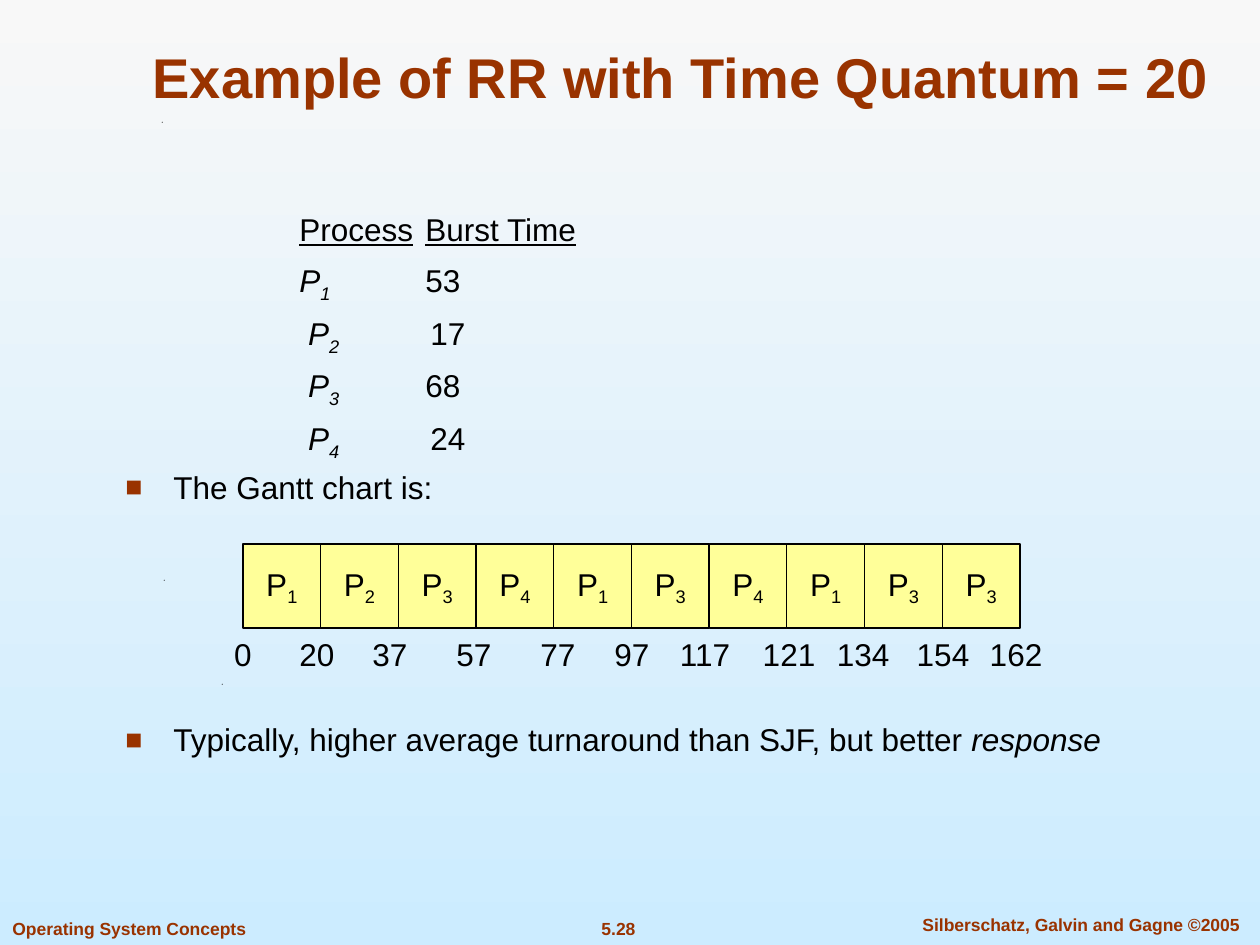
from lxml.etree import SubElement
from pptx import Presentation
from pptx.dml.color import RGBColor
from pptx.enum.shapes import MSO_SHAPE
from pptx.enum.text import MSO_ANCHOR, MSO_AUTO_SIZE, PP_ALIGN
from pptx.oxml.ns import qn
from pptx.util import Emu, Pt

SCALE = 914400 / 126
BROWN, BLACK, YELLOW = "993300", "000000", "FFFF99"
BACKGROUND = ["F8F8F8", "CCECFF"]
LEFT, CENTER = PP_ALIGN.LEFT, PP_ALIGN.CENTER

TITLE = "Example of RR with Time Quantum = 20"
HEADINGS = ("Process", "Burst Time")
BURSTS = [("", "1", "", "53"), (" ", "2", " ", "17"),
          (" ", "3", "", "68"), (" ", "4", " ", "24")]
BULLETS = [
    ([("The Gantt chart is:", {})], 7.9),
    ([("Typically, higher average turnaround than SJF, but better ", {}),
      ("response", {"italic": True})], 125),
]
GANTT = "1234134133"
TIMES = [(0, 243), (20, 317), (37, 390), (57, 474), (77, 558), (97, 632),
         (117, 705), (121, 789), (134, 863), (154, 943), (162, 1016)]
FOOTERS = [
    ("Operating System Concepts", (0, 912, 260, 34), LEFT),
    ("5.28", (557, 912, 123, 34), CENTER),
    ("Silberschatz, Galvin and Gagne ©2005", (894, 908, 374, 34), CENTER),
]
SPECKS = [(162, 122), (164, 580), (222, 684)]
COLUMNS = [174, 300]
CHART_LEFT, CHART_TOP, CHART_WIDTH, CHART_HEIGHT = 243, 544, 777, 84

BODY = {"size": Pt(18), "name": "Arial"}
SMALL = {"size": Pt(10), "name": "Arial", "bold": True}
HEADING = {"size": Pt(32), "name": "Arial", "bold": True}


def px(value):
    return Emu(round(value * SCALE))


def color(value):
    return RGBColor.from_string(value)


def apply(target, values):
    for name, value in values.items():
        setattr(target, name, value)


def add_spans(para, spans, style=BODY, ink=BLACK):
    for text, changes in spans:
        span = para.add_run()
        span.text = text
        apply(span.font, style | {k: v for k, v in changes.items() if k != "sub"})
        span.font.color.rgb = color(ink)
        if changes.get("sub"):
            span._r.get_or_add_rPr().set("baseline", "-25000")


def add_text(shapes, rect, spans, align=CENTER, style=BODY, ink=BLACK,
             anchor=MSO_ANCHOR.TOP, wrap=False):
    box = shapes.add_textbox(*map(px, rect))
    fit = MSO_AUTO_SIZE.NONE if wrap else MSO_AUTO_SIZE.SHAPE_TO_FIT_TEXT
    apply(box.text_frame, {"word_wrap": wrap, "vertical_anchor": anchor, "auto_size": fit})
    para = box.text_frame.paragraphs[0]
    para.alignment = align
    add_spans(para, spans, style, ink)
    return box


def add_tabs(para):
    tabs = SubElement(para._p.get_or_add_pPr(), qn("a:tabLst"))
    for column in COLUMNS:
        SubElement(tabs, qn("a:tab"), pos=str(px(column)), algn="l")


def add_bullet(para):
    props = para._p.get_or_add_pPr()
    props.set("marL", str(px(48)))
    props.set("indent", str(px(-48)))
    SubElement(SubElement(props, qn("a:buClr")), qn("a:srgbClr"), val=BROWN)
    SubElement(props, qn("a:buSzPct"), val="90000")
    SubElement(props, qn("a:buFont"), typeface="Arial")
    SubElement(props, qn("a:buChar"), char="■")


def fill_body(frame):
    heading = [("\t", {}), (HEADINGS[0], {"underline": True}),
               ("\t", {}), (HEADINGS[1], {"underline": True})]
    rows = [heading] + [
        [("\t" + lead, {}), ("P", {"italic": True}),
         (number + "\t" + gap, {"italic": True, "sub": True}), (burst, {})]
        for lead, number, gap, burst in BURSTS]
    lines = [(spans, 7.9, add_tabs) for spans in rows]
    lines += [(spans, before, add_bullet) for spans, before in BULLETS]
    for index, (spans, before, decorate) in enumerate(lines):
        para = frame.add_paragraph() if index else frame.paragraphs[0]
        decorate(para)
        apply(para, {"line_spacing": 0.9, "space_before": Pt(before if index else 0)})
        add_spans(para, spans)


def add_gantt(shapes):
    step = CHART_WIDTH / len(GANTT)
    for index, number in enumerate(GANTT):
        rect = (CHART_LEFT + index * step, CHART_TOP, step, CHART_HEIGHT)
        box = shapes.add_shape(MSO_SHAPE.RECTANGLE, *map(px, rect))
        box.shadow.inherit = False
        box.fill.solid()
        box.fill.fore_color.rgb = color(YELLOW)
        box.line.color.rgb = color(BLACK)
        box.line.width = Pt(0.75)
        apply(box.text_frame, {"word_wrap": False, "vertical_anchor": MSO_ANCHOR.MIDDLE})
        para = box.text_frame.paragraphs[0]
        para.alignment = CENTER
        add_spans(para, [("P", {}), (number, {"sub": True})])
    for time, center in TIMES:
        width = 26 + 18 * len(str(time))
        rect = (center - width / 2, CHART_TOP + CHART_HEIGHT + 1, width, 50)
        add_text(shapes, rect, [(str(time), {})], anchor=MSO_ANCHOR.MIDDLE)


def add_speck(shapes, left, top):
    builder = shapes.build_freeform(left, top, scale=SCALE)
    builder.add_line_segments([(left + 1, top), (left, top + 1)], close=True)
    speck = builder.convert_to_shape()
    speck.shadow.inherit = False
    speck.fill.solid()
    speck.fill.fore_color.rgb = color(BLACK)
    speck.line.fill.background()


def main():
    deck = Presentation()
    apply(deck, {"slide_width": px(1260), "slide_height": px(945)})
    page = deck.slides.add_slide(deck.slide_layouts[5])
    backdrop = page.background.fill
    backdrop.gradient()
    backdrop.gradient_angle = 270
    for position, (stop, shade) in enumerate(zip(backdrop.gradient_stops, BACKGROUND)):
        stop.color.rgb = color(shade)
        stop.position = position

    for text, rect, align in FOOTERS:
        add_text(page.shapes, rect, [(text, {})], align, SMALL, BROWN)
    for left, top in SPECKS:
        add_speck(page.shapes, left, top)

    title = page.shapes.title
    apply(title, {"left": px(126), "top": px(0), "width": px(1110), "height": px(116)})
    apply(title.text_frame, {"vertical_anchor": MSO_ANCHOR.BOTTOM, "word_wrap": True,
                             "auto_size": MSO_AUTO_SIZE.NONE})
    para = title.text_frame.paragraphs[0]
    para.alignment = CENTER
    add_spans(para, [(TITLE, {})], HEADING, BROWN)

    body = add_text(page.shapes, (113, 208, 1013, 617), [], LEFT, wrap=True)
    fill_body(body.text_frame)
    add_gantt(page.shapes.add_group_shape().shapes)
    deck.save("out.pptx")


if __name__ == "__main__":
    main()
